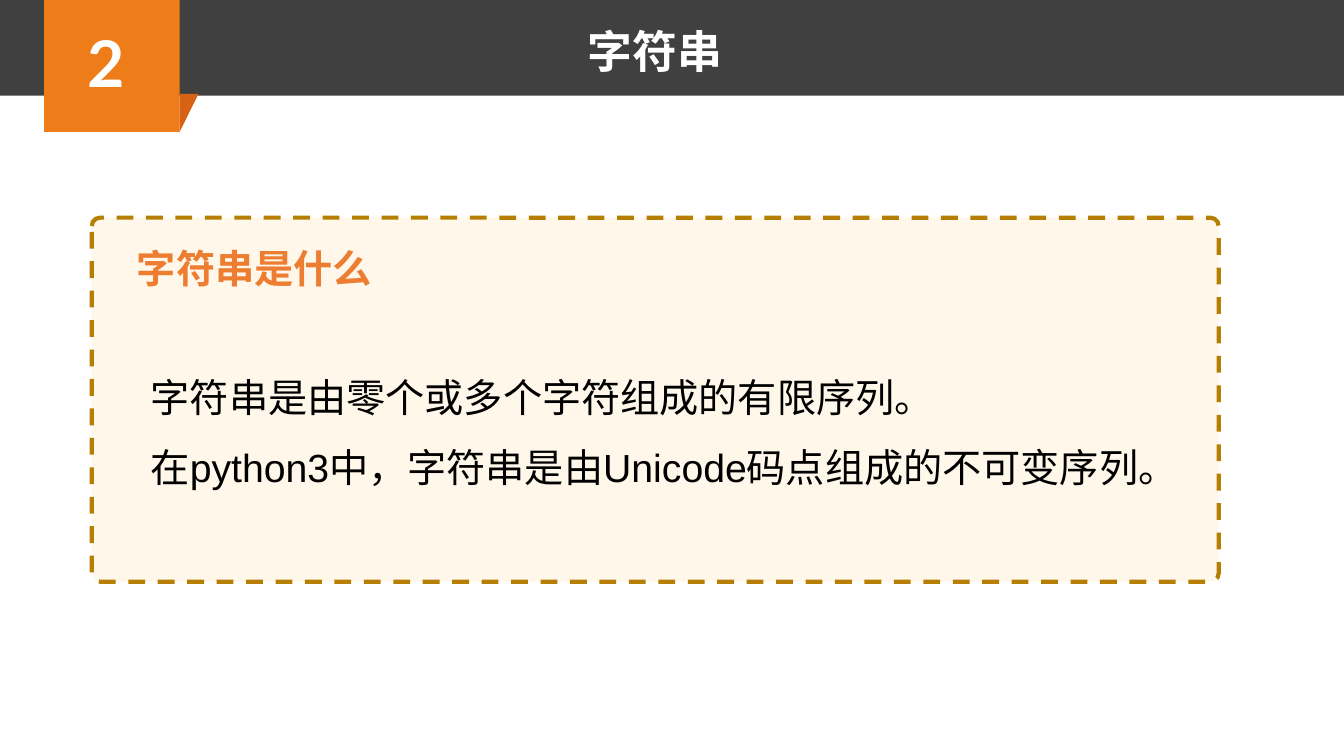
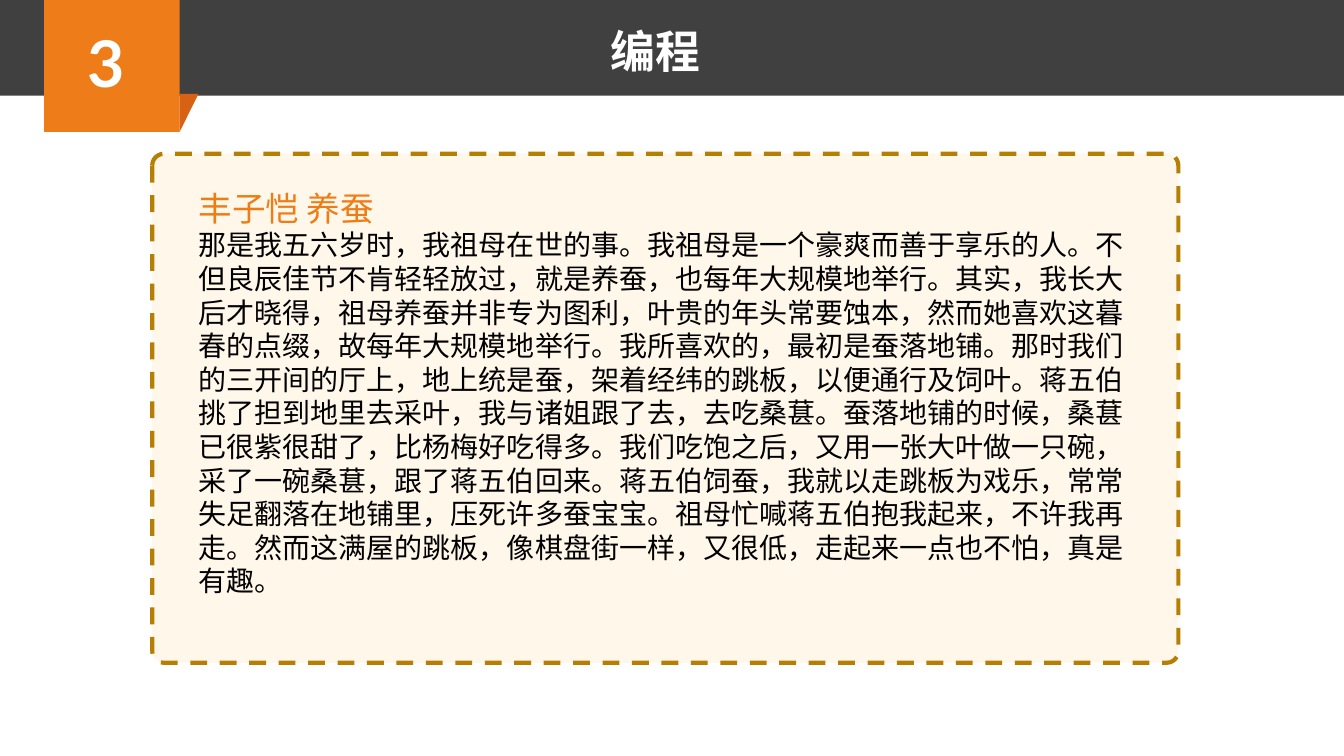
from dataclasses import dataclass
from typing import Optional

from lxml import etree
from pptx import Presentation
from pptx.dml.color import RGBColor
from pptx.enum.dml import MSO_LINE
from pptx.enum.shapes import MSO_SHAPE
from pptx.enum.text import MSO_ANCHOR, MSO_AUTO_SIZE, PP_ALIGN
from pptx.oxml.ns import qn
from pptx.util import Pt

RECTANGLE = MSO_SHAPE.RECTANGLE
ROUNDED = MSO_SHAPE.ROUNDED_RECTANGLE
DASH = MSO_LINE.DASH
TOP = MSO_ANCHOR.TOP
NO_FIT = MSO_AUTO_SIZE.NONE
LEFT, CENTER = PP_ALIGN.LEFT, PP_ALIGN.CENTER

# Shared colours and fonts
BAND, TAB, FOLD = "404040", "EE7D19", "D76213"
PANEL, BORDER = "FFF7EA", "B67F04"
WHITE, BLACK = "FFFFFF", "000000"
HEADING_BOLD, HEADING_PLAIN = "ED7D31", "EE7D16"
CHINESE_FONT = "Noto Sans CJK SC"

# Shared geometry, in points
PAGE_WIDTH, PAGE_HEIGHT = 960, 540
BAND_HEIGHT = 68.4
TAB_LEFT, TAB_WIDTH, TAB_HEIGHT = 31.5, 96.8, 94.3
FOLD_TOP, FOLD_WIDTH = 67, 13.5
TITLE_CENTER = 468
LINE_HEIGHT = 1.2


@dataclass(frozen=True)
class Area:
    left: float
    top: float
    width: float
    height: float

    def lengths(self):
        return Pt(self.left), Pt(self.top), Pt(self.width), Pt(self.height)


@dataclass(frozen=True)
class Line:
    text: str
    size: float
    color: str = BLACK
    spacing: float = 1.0
    font: str = "Arial"
    bold: bool = False


@dataclass(frozen=True)
class Topic:
    number: str
    title: str
    panel: Area
    body: Area
    lines: tuple[Line, ...]
    heading: Optional[Line] = None
    heading_area: Optional[Area] = None


TOPICS = (
    Topic(
        "2", "字符串",
        panel=Area(65.5, 155.5, 805, 260),
        heading=Line("字符串是什么", 28, HEADING_BOLD, font=CHINESE_FONT, bold=True),
        heading_area=Area(90.7, 171, 478, 41),
        body=Area(100.5, 246, 725.8, 160),
        lines=(
            Line("字符串是由零个或多个字符组成的有限序列。", 28, spacing=1.5),
            Line("在python3中，字符串是由Unicode码点组成的不可变序列。", 28, spacing=1.5),
        ),
    ),
    Topic(
        "3", "编程",
        panel=Area(108.7, 109.8, 733, 363.6),
        body=Area(134.6, 130.3, 676.1, 303),
        lines=(
            Line("丰子恺 养蚕", 24, HEADING_PLAIN),
            Line(
                "那是我五六岁时，我祖母在世的事。我祖母是一个豪爽而善于享乐的人。"
                "不但良辰佳节不肯轻轻放过，就是养蚕，也每年大规模地举行。"
                "其实，我长大后才晓得，祖母养蚕并非专为图利，叶贵的年头常要蚀本，"
                "然而她喜欢这暮春的点缀，故每年大规模地举行。"
                "我所喜欢的，最初是蚕落地铺。那时我们的三开间的厅上，地上统是蚕，"
                "架着经纬的跳板，以便通行及饲叶。蒋五伯挑了担到地里去采叶，"
                "我与诸姐跟了去，去吃桑葚。蚕落地铺的时候，桑葚已很紫很甜了，"
                "比杨梅好吃得多。我们吃饱之后，又用一张大叶做一只碗，采了一碗桑葚，"
                "跟了蒋五伯回来。蒋五伯饲蚕，我就以走跳板为戏乐，"
                "常常失足翻落在地铺里，压死许多蚕宝宝。"
                "祖母忙喊蒋五伯抱我起来，不许我再走。然而这满屋的跳板，"
                "像棋盘街一样，又很低，走起来一点也不怕，真是有趣。",
                20,
            ),
        ),
    ),
)


def color_of(value: str) -> RGBColor:
    return RGBColor.from_string(value)


def paint(shape, fill: str) -> None:
    shape.shadow.inherit = False
    shape.fill.solid()
    shape.fill.fore_color.rgb = color_of(fill)
    shape.line.fill.background()


def add_block(page, kind, area: Area, fill: str):
    shape = page.shapes.add_shape(kind, *area.lengths())
    paint(shape, fill)
    return shape


def prepare(box, area: Area) -> None:
    """Place a text box or placeholder in front of what is already drawn."""
    box.left, box.top, box.width, box.height = area.lengths()
    frame = box.text_frame
    frame.word_wrap = True
    frame.auto_size = NO_FIT
    frame.vertical_anchor = TOP
    frame.margin_left = frame.margin_right = Pt(7.2)
    frame.margin_top = frame.margin_bottom = Pt(3.6)
    box.element.getparent().append(box.element)


def add_text_box(page, area: Area):
    box = page.shapes.add_textbox(*area.lengths())
    prepare(box, area)
    return box


def write(box, text: str, *, size: float, font: str = "Arial", color: str = BLACK,
          bold: bool = False, align=LEFT, spacing: float = 1.0) -> None:
    frame = box.text_frame
    para = frame.paragraphs[0] if not frame.text else frame.add_paragraph()
    properties = para._p.get_or_add_pPr()
    properties.set("marL", "0")
    properties.set("indent", "0")
    etree.SubElement(properties, qn("a:buNone"))
    para.alignment = align
    para.space_before = para.space_after = Pt(0)
    para.line_spacing = Pt(round(size * LINE_HEIGHT * spacing, 1))
    span = para.add_run()
    span.text = text
    span.font.size = Pt(size)
    span.font.name = font
    span.font.bold = bold
    span.font.color.rgb = color_of(color)
    east_asian = etree.SubElement(span._r.get_or_add_rPr(), qn("a:ea"))
    east_asian.set("typeface", CHINESE_FONT)


def write_line(box, line: Line) -> None:
    write(box, line.text, size=line.size, font=line.font, color=line.color,
          bold=line.bold, spacing=line.spacing)


def draw_header(page, number: str, title: str) -> None:
    # Band, number tab and its folded corner
    add_block(page, RECTANGLE, Area(0, 0, PAGE_WIDTH, BAND_HEIGHT), BAND)
    add_block(page, RECTANGLE, Area(TAB_LEFT, 0, TAB_WIDTH, TAB_HEIGHT), TAB)
    edge = TAB_LEFT + TAB_WIDTH
    outline = page.shapes.build_freeform(Pt(edge), Pt(FOLD_TOP))
    outline.add_line_segments(
        [(Pt(edge + FOLD_WIDTH), Pt(FOLD_TOP)), (Pt(edge), Pt(TAB_HEIGHT))])
    paint(outline.convert_to_shape(), FOLD)

    # Number and title
    number_box = add_text_box(page, Area(54.6, 13.3, 42, 65.5))
    write(number_box, number, size=46, font="Lato", color=WHITE, bold=True, align=CENTER)
    title_width = 300
    prepare(page.shapes.title,
            Area(TITLE_CENTER - title_width / 2, 13.5, title_width, 46))
    write(page.shapes.title, title, size=32, font="Roboto", color=WHITE,
          bold=True, align=CENTER)


def draw_topic(deck, topic: Topic) -> None:
    page = deck.slides.add_slide(deck.slide_layouts[1])
    draw_header(page, topic.number, topic.title)

    # Dashed panel
    panel = add_block(page, ROUNDED, topic.panel, PANEL)
    panel.adjustments[0] = 0.023
    panel.line.color.rgb = color_of(BORDER)
    panel.line.width = Pt(3)
    panel.line.dash_style = DASH

    # Heading and body text
    if topic.heading and topic.heading_area:
        write_line(add_text_box(page, topic.heading_area), topic.heading)
    body = page.placeholders[1]
    prepare(body, topic.body)
    for line in topic.lines:
        write_line(body, line)


def main() -> None:
    deck = Presentation()
    deck.slide_width, deck.slide_height = Pt(PAGE_WIDTH), Pt(PAGE_HEIGHT)
    for topic in TOPICS:
        draw_topic(deck, topic)
    deck.save("out.pptx")


if __name__ == "__main__":
    main()
